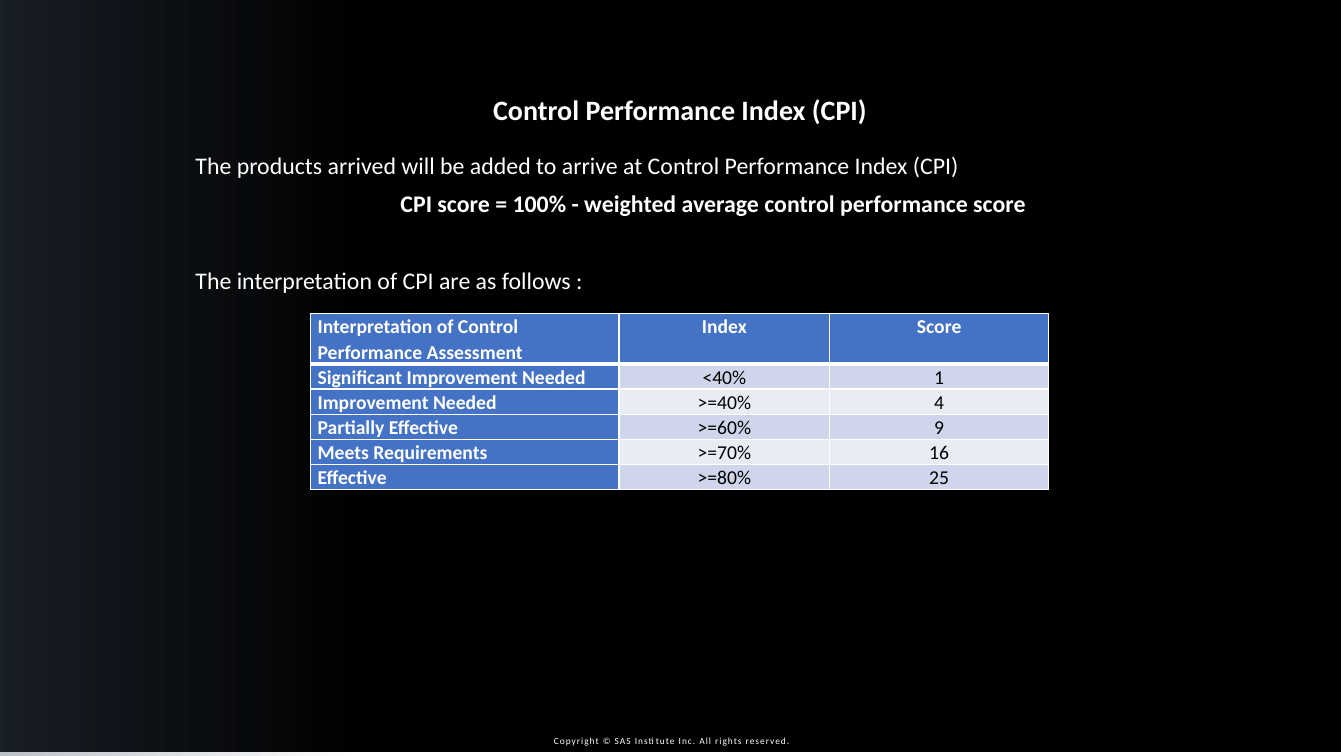
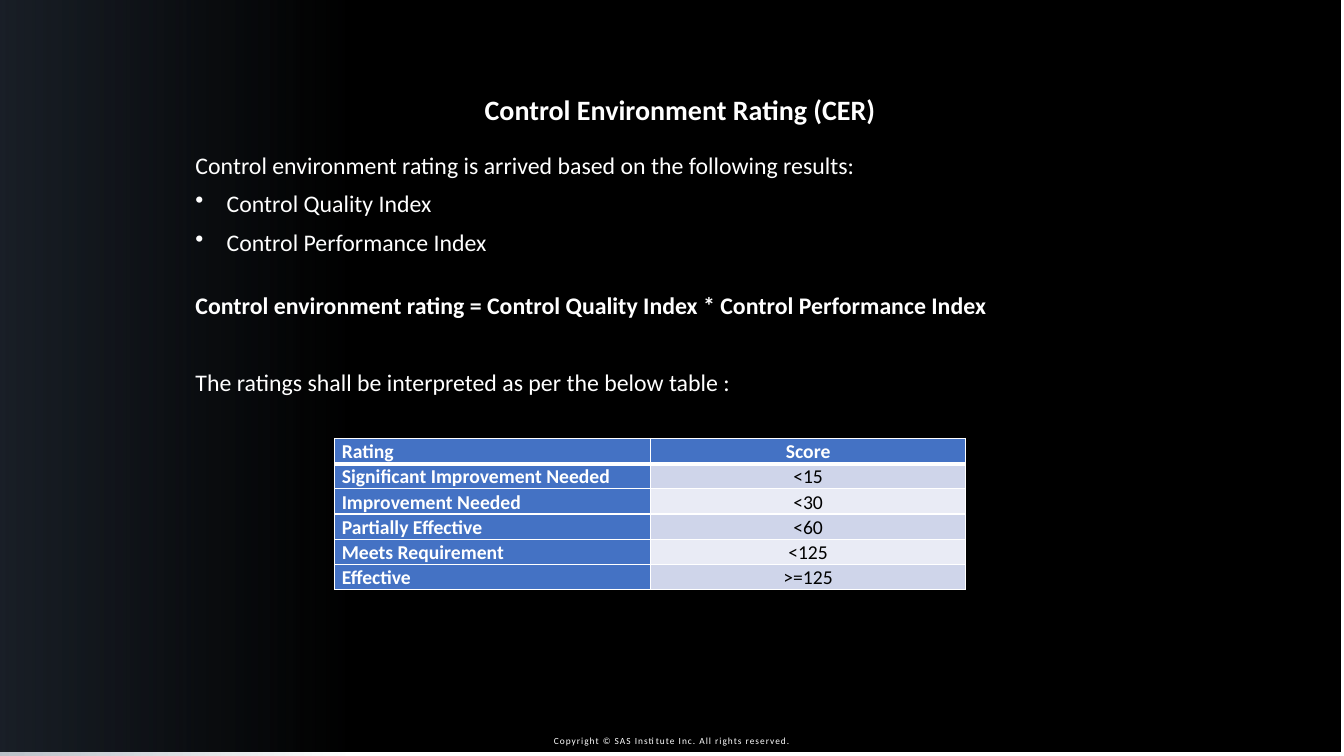
from dataclasses import dataclass

from lxml import etree
from pptx import Presentation
from pptx.dml.color import RGBColor
from pptx.enum.shapes import MSO_SHAPE
from pptx.enum.text import MSO_ANCHOR, MSO_AUTO_SIZE, PP_ALIGN
from pptx.oxml.ns import qn
from pptx.util import Inches, Pt

RECTANGLE = MSO_SHAPE.RECTANGLE
TOP, BOTTOM = MSO_ANCHOR.TOP, MSO_ANCHOR.BOTTOM
LEFT, CENTER, JUSTIFY = PP_ALIGN.LEFT, PP_ALIGN.CENTER, PP_ALIGN.JUSTIFY
FIT_SHAPE = MSO_AUTO_SIZE.SHAPE_TO_FIT_TEXT

BLACK = RGBColor(0x00, 0x00, 0x00)
WHITE = RGBColor(0xFF, 0xFF, 0xFF)
SLATE = RGBColor(0x44, 0x54, 0x6A)
HEADER_BLUE = RGBColor(0x44, 0x72, 0xC4)
BANDS = (RGBColor(0xCF, 0xD5, 0xEA), RGBColor(0xE9, 0xEB, 0xF5))

FONT = "Calibri"
ROW_HEIGHT = 0.25
BULLET_INDENT = Inches(0.31)
TITLE_LAYOUT = 5


@dataclass(frozen=True)
class Line:
    text: str
    align: PP_ALIGN = JUSTIFY
    bold: bool = False
    bullet: bool = False
    gap: float = 0  # points above the line


@dataclass(frozen=True)
class RatingTable:
    left: float
    top: float
    widths: tuple[float, ...]
    rows: tuple[tuple[str, ...], ...]
    header_lines: int = 1


@dataclass(frozen=True)
class RatingSlide:
    title: str
    body_height: float
    lines: tuple[Line, ...]
    table: RatingTable


SLIDES = (
    RatingSlide(
        "Control Performance Index (CPI)", 1.54,
        (
            Line("The products arrived will be added to arrive at Control Performance Index (CPI)"),
            Line("CPI score = 100% - weighted average control performance score", CENTER, True),
            Line("The interpretation of CPI are as follows :", gap=27.7),
        ),
        RatingTable(3.08, 3.11, (3.06, 2.09, 2.17), (
            ("Interpretation of Control Performance Assessment", "Index", "Score"),
            ("Significant Improvement Needed", "<40%", "1"),
            ("Improvement Needed", ">=40%", "4"),
            ("Partially Effective", ">=60%", "9"),
            ("Meets Requirements", ">=70%", "16"),
            ("Effective", ">=80%", "25"),
        ), header_lines=2),
    ),
    RatingSlide(
        "Control Environment Rating (CER)", 2.57,
        (
            Line("Control environment rating is arrived based on the following results:"),
            Line("Control Quality Index", bullet=True),
            Line("Control Performance Index", bullet=True),
            Line("Control environment rating = Control Quality Index * Control Performance Index",
                 bold=True, gap=17.5),
            Line("The ratings shall be interpreted as per the below table :", gap=27.7),
        ),
        RatingTable(3.32, 4.35, (3.13, 3.13), (
            ("Rating", "Score"),
            ("Significant Improvement Needed", "<15"),
            ("Improvement Needed", "<30"),
            ("Partially Effective", "<60"),
            ("Meets Requirement", "<125"),
            ("Effective", ">=125"),
        )),
    ),
)


def add_run(paragraph, text: str, size: float, color: RGBColor = WHITE, bold: bool = False):
    run = paragraph.add_run()
    run.text = text
    run.font.name = FONT
    run.font.size = Pt(size)
    run.font.bold = bold
    run.font.color.rgb = color
    return run


def add_panel(slide, left: float, top: float, width: float, height: float):
    panel = slide.shapes.add_shape(
        RECTANGLE, Inches(left), Inches(top), Inches(width), Inches(height))
    panel.shadow.inherit = False
    panel.line.fill.background()
    return panel


def move_backdrop_to_layout(slide) -> None:
    """Draw the shared backdrop and footer, then place them in the slide's layout."""
    backdrop = add_panel(slide, 0, -0.01, 13.3, 7.47)
    backdrop.fill.solid()
    backdrop.fill.fore_color.rgb = BLACK

    # Slate glow fading out towards the right
    glow = add_panel(slide, 0, 0, 3.51, 7.51)
    glow.fill.gradient()
    glow.fill.gradient_angle = 180
    for stop, position in zip(glow.fill.gradient_stops, (0.02, 1)):
        stop.position = position
        stop.color.rgb = SLATE
    for color, opacity in zip(glow.element.spPr.iter(qn("a:srgbClr")), (0, 36)):
        etree.SubElement(color, qn("a:alpha"), val=str(opacity * 1000))

    # Copyright footer
    footer = slide.shapes.add_textbox(Inches(4.83), Inches(7.24), Inches(3.67), Inches(0.21))
    frame = footer.text_frame
    frame.word_wrap = True
    frame.auto_size = FIT_SHAPE
    frame.vertical_anchor = BOTTOM
    frame.paragraphs[0].alignment = CENTER
    notice = add_run(frame.paragraphs[0], "Copyright © SAS Institute Inc. All rights reserved.", 6.7)
    notice.font._element.set("spc", "70")

    # The layout keeps only its title, above the backdrop
    layout_title, *unused = slide.slide_layout.placeholders
    for placeholder in unused:
        placeholder.element.getparent().remove(placeholder.element)
    for part in (backdrop, glow, footer):
        layout_title.element.addprevious(part.element)


def format_title(slide, text: str) -> None:
    title = slide.shapes.title
    title.left, title.top = Inches(0.61), Inches(0.87)
    title.width, title.height = Inches(12.27), Inches(0.44)
    frame = title.text_frame
    frame.word_wrap = True
    frame.auto_size = FIT_SHAPE
    frame.vertical_anchor = TOP
    frame.paragraphs[0].alignment = CENTER
    add_run(frame.paragraphs[0], text, 20, bold=True)


def add_body(slide, height: float, lines: tuple[Line, ...]) -> None:
    body = slide.shapes.add_textbox(Inches(1.84), Inches(1.43), Inches(10.47), Inches(height))
    frame = body.text_frame
    frame.word_wrap = True
    frame.auto_size = FIT_SHAPE
    for index, line in enumerate(lines):
        paragraph = frame.add_paragraph() if index else frame.paragraphs[0]
        if line.bullet:
            properties = paragraph._p.get_or_add_pPr()
            properties.set("marL", str(BULLET_INDENT))
            properties.set("indent", str(-BULLET_INDENT))
            etree.SubElement(properties, qn("a:buChar"), char="•")
        paragraph.alignment = line.align
        paragraph.line_spacing = 1.05
        paragraph.space_after = Pt(6)
        if line.gap:
            paragraph.space_before = Pt(line.gap)
        add_run(paragraph, line.text, 17, bold=line.bold)


def set_borders(cell, top: float, bottom: float) -> None:
    properties = cell._tc.get_or_add_tcPr()
    sides = (("a:lnL", 1), ("a:lnR", 1), ("a:lnT", top), ("a:lnB", bottom))
    for index, (tag, width) in enumerate(sides):
        border = etree.Element(qn(tag), w=str(Pt(width)))
        fill = etree.SubElement(border, qn("a:solidFill"))
        etree.SubElement(fill, qn("a:srgbClr"), val=str(WHITE))
        properties.insert(index, border)


def add_rating_table(slide, spec: RatingTable) -> None:
    row_count, column_count = len(spec.rows), len(spec.widths)
    height = ROW_HEIGHT * (row_count - 1 + spec.header_lines)
    table = slide.shapes.add_table(
        row_count, column_count, Inches(spec.left), Inches(spec.top),
        Inches(sum(spec.widths)), Inches(height)).table
    for column, width in zip(table.columns, spec.widths):
        column.width = Inches(width)
    for r, texts in enumerate(spec.rows):
        table.rows[r].height = Inches(ROW_HEIGHT * (1 if r else spec.header_lines))
        for c, text in enumerate(texts):
            heading = r == 0 or c == 0
            cell = table.cell(r, c)
            cell.margin_left = cell.margin_right = Inches(0.07)
            cell.margin_top = cell.margin_bottom = 0
            cell.fill.solid()
            cell.fill.fore_color.rgb = HEADER_BLUE if heading else BANDS[(r - 1) % 2]
            set_borders(cell, top=3 if r == 1 else 1, bottom=3 if r == 0 else 1)
            paragraph = cell.text_frame.paragraphs[0]
            paragraph.alignment = CENTER if c else LEFT
            paragraph.line_spacing = 1.07
            add_run(paragraph, text, 14, WHITE if heading else BLACK, heading)


def main() -> None:
    deck = Presentation()
    deck.slide_width, deck.slide_height = Inches(13.33), Inches(7.5)
    layout = deck.slide_layouts[TITLE_LAYOUT]
    for index, content in enumerate(SLIDES):
        slide = deck.slides.add_slide(layout)
        if index == 0:
            move_backdrop_to_layout(slide)
        format_title(slide, content.title)
        add_body(slide, content.body_height, content.lines)
        add_rating_table(slide, content.table)
    deck.save("out.pptx")


if __name__ == "__main__":
    main()
